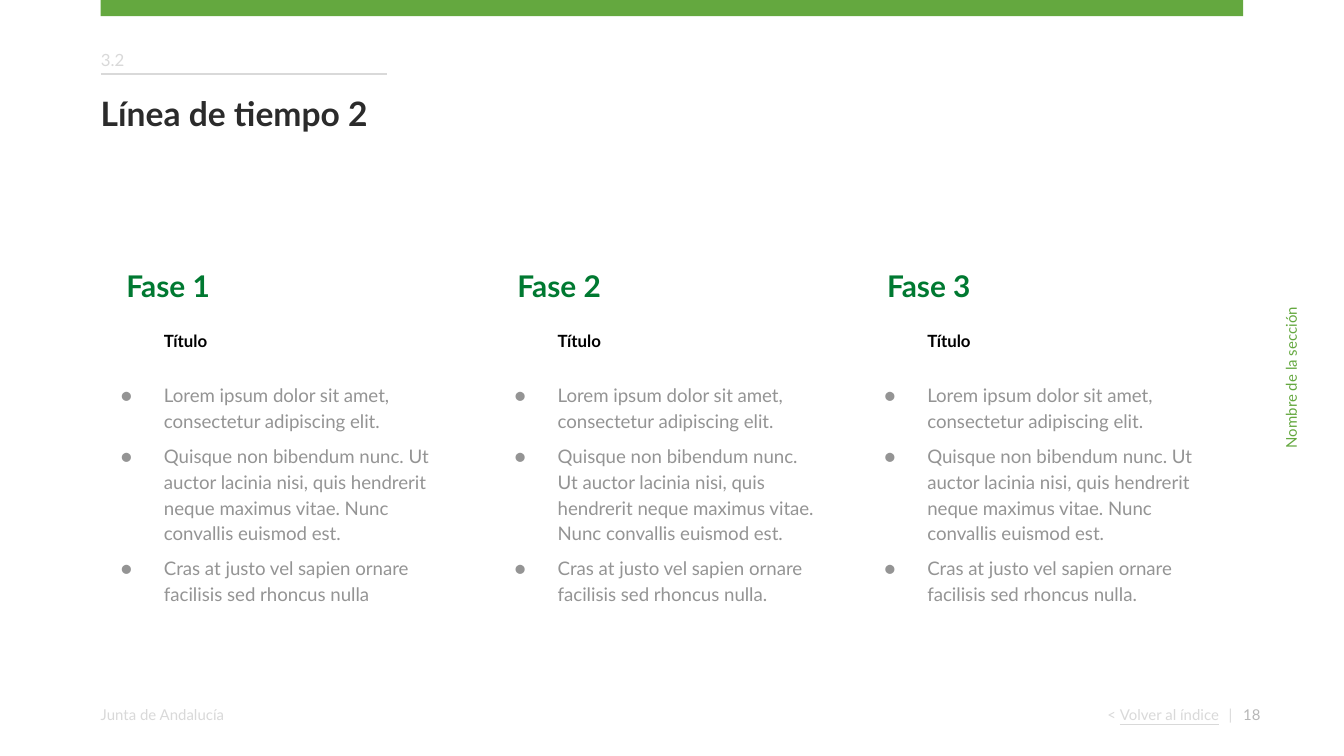
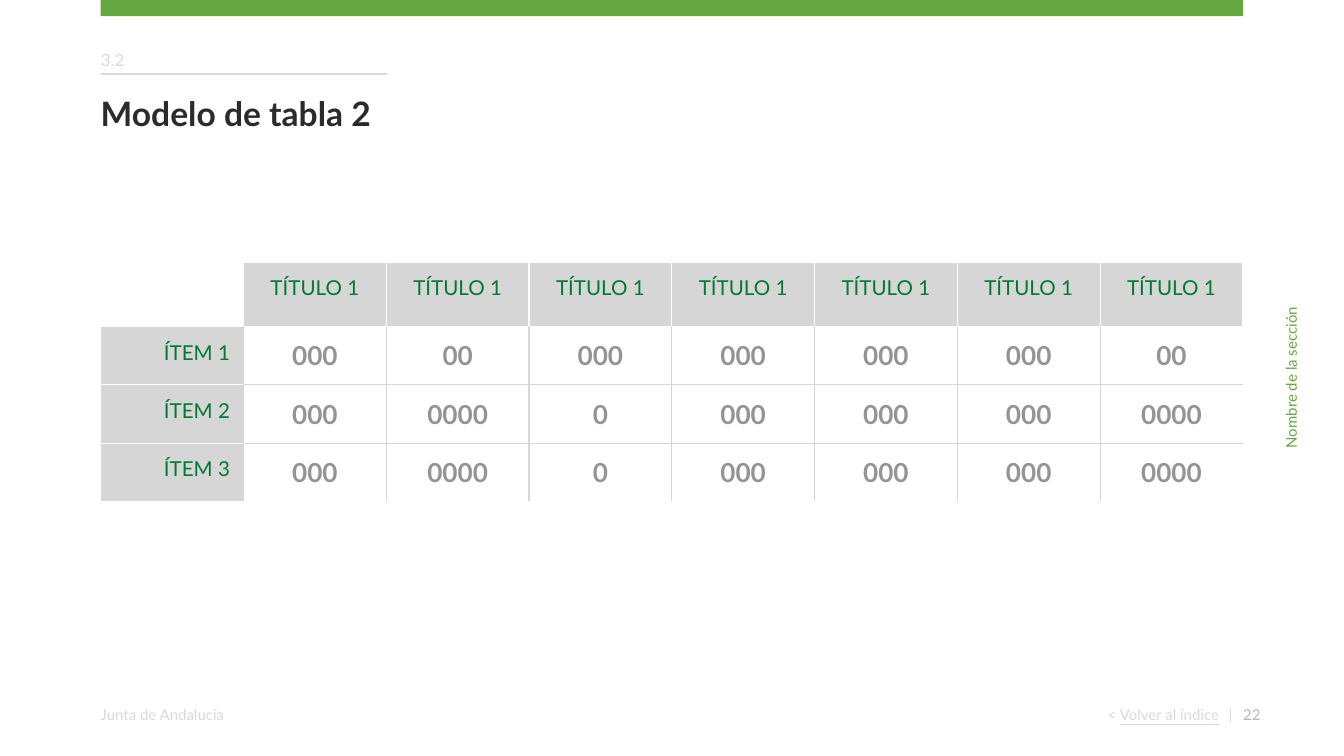
from dataclasses import dataclass

from lxml.etree import SubElement
from pptx import Presentation
from pptx.dml.color import RGBColor
from pptx.enum.shapes import MSO_CONNECTOR, MSO_SHAPE
from pptx.enum.text import MSO_ANCHOR, PP_ALIGN
from pptx.oxml.ns import qn
from pptx.util import Emu, Pt


@dataclass(frozen=True)
class Theme:
    font: str = "Lato"
    # colours
    green: str = "64A83F"
    dark_green: str = "007931"
    ink: str = "2B2B2B"
    black: str = "000000"
    text: str = "949494"
    number: str = "B7B7B7"
    faint: str = "D9D9D9"
    cell: str = "D6D6D6"
    white: str = "FFFFFF"
    # type sizes and line width, in points
    title: int = 18
    phase: int = 16
    value: int = 14
    header: int = 11
    body: int = 10
    label: int = 9
    footer: int = 8
    rule: float = 0.75


THEME = Theme()
LEFT, CONTENT_W = 75, 850

# Phase name, its left edge, left edge and width of its text, end of the last bullet
PHASES = [
    ("Fase 1", 94, 70, 259, ""),
    ("Fase 2", 385, 363, 247, "."),
    ("Fase 3", 660, 638, 259, "."),
]
BULLETS = [
    "Lorem ipsum dolor sit amet, consectetur adipiscing elit.",
    "Quisque non bibendum nunc. Ut auctor lacinia nisi, quis hendrerit "
    "neque maximus vitae. Nunc convallis euismod est.",
    "Cras at justo vel sapien ornare facilisis sed rhoncus nulla",
]
TABLE_ROWS = [
    [""] + ["TÍTULO 1"] * 7,
    ["ÍTEM 1", "000", "00", "000", "000", "000", "000", "00"],
    ["ÍTEM 2", "000", "0000", "0", "000", "000", "000", "0000"],
    ["ÍTEM 3", "000", "0000", "0", "000", "000", "000", "0000"],
]


def px(n):
    """100 px make one inch."""
    return Emu(n * 9144)


def rgb(color):
    return RGBColor.from_string(color)


def style_run(r, size, color, bold=False):
    r.font.name = THEME.font
    r.font.size = Pt(size)
    r.font.bold = bold
    r.font.color.rgb = rgb(color)


def style_paragraph(p, size, color, bold=False, align=PP_ALIGN.LEFT):
    p.alignment = align
    for r in p.runs:
        style_run(r, size, color, bold)


def add_text_box(s, x, y, w, h, inset=0):
    box = s.shapes.add_textbox(px(x), px(y), px(w), px(h))
    tf = box.text_frame
    tf.word_wrap = True
    tf.margin_left = tf.margin_right = tf.margin_top = tf.margin_bottom = px(inset)
    return box


def add_label(s, text, x, y, w, h, size, color, bold=False, align=PP_ALIGN.LEFT):
    box = add_text_box(s, x, y, w, h)
    box.text_frame.text = text
    style_paragraph(box.text_frame.paragraphs[0], size, color, bold, align)
    return box


def add_rule(s, x1, x2, y):
    line = s.shapes.add_connector(MSO_CONNECTOR.STRAIGHT, px(x1), px(y), px(x2), px(y))
    line.line.color.rgb = rgb(THEME.faint)
    line.line.width = Pt(THEME.rule)
    SubElement(line._element.spPr, qn("a:effectLst"))


def add_band(s):
    band = s.shapes.add_shape(MSO_SHAPE.RECTANGLE, px(LEFT), px(0), px(CONTENT_W), px(12))
    band.shadow.inherit = False
    band.fill.solid()
    band.fill.fore_color.rgb = rgb(THEME.green)
    band.line.fill.background()


def add_footer(s, number):
    t = THEME
    add_label(s, "Junta de Andalucía", LEFT, 525, 194, 22, t.footer, t.faint)
    back = add_text_box(s, 660, 525, 257, 22)
    p = back.text_frame.paragraphs[0]
    for text in ("< ", "Volver al índice", " ", "|"):
        p.add_run().text = text
    style_paragraph(p, t.footer, t.faint, align=PP_ALIGN.RIGHT)
    link, gap = p.runs[1:3]
    link.font.underline = True
    gap._r.get_or_add_rPr().set("spc", "300")  # widens the gap before the bar
    add_label(s, str(number), 925, 525, 56, 29, t.footer, t.number)


def add_base_slide(prs, title, number):
    """Slide with the band, heading, footer and section name that all share."""
    t = THEME
    s = prs.slides.add_slide(prs.slide_layouts[6])
    add_footer(s, number)
    add_band(s)
    add_label(s, title, LEFT, 69, 323, 81, t.title, t.ink, bold=True)
    add_rule(s, LEFT, 288, 55)
    add_label(s, "3.2", LEFT, 37, 49, 46, t.label, t.faint)
    section = add_label(s, "Nombre de la sección", 832, 270, 257, 22,
                        t.footer, t.green, align=PP_ALIGN.CENTER)
    section.text_frame.vertical_anchor = MSO_ANCHOR.MIDDLE
    section.rotation = 270
    return s


def set_indent(p, left, first=0):
    pPr = p._p.get_or_add_pPr()
    pPr.set("marL", str(px(left)))
    pPr.set("indent", str(px(first)))
    return pPr


def add_bullet(tf, text):
    p = tf.add_paragraph()
    p.text = text
    style_paragraph(p, THEME.body, THEME.text)
    p.line_spacing = 1.15
    p.space_before = Pt(5)
    pPr = set_indent(p, 50, -32)
    SubElement(SubElement(pPr, qn("a:buClr")), qn("a:srgbClr")).set("val", THEME.text)
    SubElement(pPr, qn("a:buFont")).set("typeface", THEME.font)
    SubElement(pPr, qn("a:buChar")).set("char", "●")


def add_phase(s, name, name_x, x, w, ending):
    t = THEME
    tf = add_text_box(s, x, 244, w, 247, inset=2).text_frame
    tf.text = "Título"
    p = tf.paragraphs[0]
    style_paragraph(p, t.label, t.black, bold=True)
    set_indent(p, 0, 50)
    p.space_after = Pt(11)
    for text in BULLETS[:-1] + [BULLETS[-1] + ending]:
        add_bullet(tf, text)
    add_label(s, name, name_x, 199, 211, 39, t.phase, t.dark_green, bold=True)


def set_border(cell, side, color):
    ln = SubElement(cell._tc.get_or_add_tcPr(), qn(f"a:ln{side}"))
    ln.set("w", str(Pt(THEME.rule)))
    SubElement(SubElement(ln, qn("a:solidFill")), qn("a:srgbClr")).set("val", color)


def style_cell(cell, row, col, last_row, last_col):
    t = THEME
    is_value = row > 0 and col > 0
    # Grey lines run only between values and beside the item names
    grey_sides = {
        "L": is_value,
        "R": row > 0 and col < last_col,
        "T": is_value and row > 1,
        "B": is_value and row < last_row,
    }
    for side, grey in grey_sides.items():
        set_border(cell, side, t.cell if grey else t.white)
    if is_value or not cell.text:
        cell.fill.background()
    else:
        cell.fill.solid()
        cell.fill.fore_color.rgb = rgb(t.cell)
    cell.margin_left = cell.margin_right = cell.margin_top = cell.margin_bottom = px(10)
    p = cell.text_frame.paragraphs[0]
    align = PP_ALIGN.CENTER if col else PP_ALIGN.RIGHT
    if is_value:
        style_paragraph(p, t.value, t.text, bold=True, align=align)
    else:
        style_paragraph(p, t.header, t.dark_green, align=align)
    if not cell.text:
        SubElement(p._p, qn("a:endParaRPr")).set("sz", str(t.header * 100))


def add_data_table(s, rows, x, y, w, header_h, row_h):
    last_row, last_col = len(rows) - 1, len(rows[0]) - 1
    frame = s.shapes.add_table(len(rows), len(rows[0]), px(x), px(y), px(w),
                               px(header_h + last_row * row_h))
    table = frame.table
    table.first_row = table.horz_banding = False
    for i, values in enumerate(rows):
        table.rows[i].height = px(row_h if i else header_h)
        for j, value in enumerate(values):
            cell = table.cell(i, j)
            cell.text = value
            style_cell(cell, i, j, last_row, last_col)


def main():
    prs = Presentation()
    prs.slide_width = px(1000)
    prs.slide_height = Emu(prs.slide_width * 9 // 16)

    # Timeline
    s = add_base_slide(prs, "Línea de tiempo 2", 18)
    for phase in PHASES:
        add_phase(s, *phase)

    # Table
    s = add_base_slide(prs, "Modelo de tabla 2", 22)
    add_data_table(s, TABLE_ROWS, LEFT, 195, CONTENT_W, 48, 43)

    prs.save("out.pptx")


if __name__ == "__main__":
    main()
